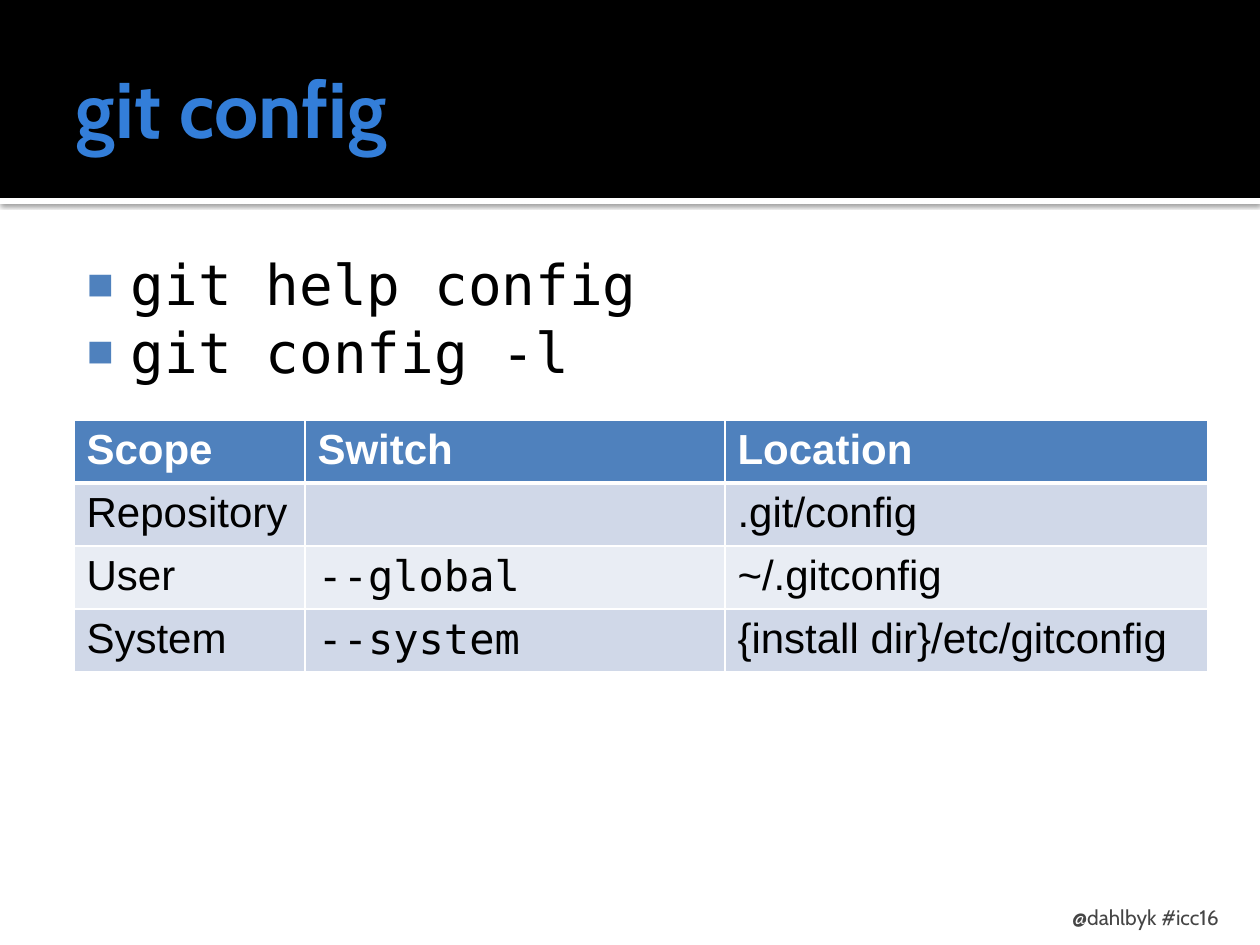
"""Build the git config slide: title band, command list, scope table and footer."""
from typing import NamedTuple

from lxml.etree import SubElement as Sub
from pptx import Presentation
from pptx.dml.color import RGBColor as RGB
from pptx.enum.shapes import MSO_SHAPE as Kind
from pptx.enum.text import MSO_ANCHOR as Anchor, PP_ALIGN as Align
from pptx.oxml.ns import qn
from pptx.util import Pt

SCALE = 914400 / 126
WHITE = RGB(0xFF, 0xFF, 0xFF)
BLACK = RGB(0, 0, 0)
BLUE = RGB(0x4F, 0x81, 0xBD)
TITLE = RGB(0x33, 0x7E, 0xD9)
GRAY = RGB(0x45, 0x45, 0x45)
BANDS = RGB(0xD0, 0xD8, 0xE8), RGB(0xE9, 0xED, 0xF4)
SANS, HEAD, MONO = "Arial", "Cabin", "DejaVu Sans Mono"


class Box(NamedTuple):
    left: int
    top: int
    wide: int
    high: int


class Row(NamedTuple):
    scope: str
    switch: str
    place: str


COLS = 231, 420, 483
ROW_H = 63
ROWS = [
    Row("Scope", "Switch", "Location"),
    Row("Repository", "", ".git/config"),
    Row("User", "--global", "~/.gitconfig"),
    Row("System", "--system", "{install dir}/etc/gitconfig"),
]
ITEMS = [("git help config", 0.9), ("git config -l", 1.0)]


def px(num: float) -> int:
    return round(num * SCALE)


def place(box: Box) -> list[int]:
    return [px(num) for num in box]


def write(para, text: str, *, size: int, font: str, color: RGB,
          bold: bool = False, align=Align.LEFT) -> None:
    para.alignment = align
    run = para.add_run()
    run.text = text
    face = run.font
    face.size, face.name, face.bold = Pt(size), font, bold
    face.color.rgb = color


def frame(slide, box: Box, pad: tuple, anchor=Anchor.TOP):
    body = slide.shapes.add_textbox(*place(box)).text_frame
    body.word_wrap = True
    body.vertical_anchor = anchor
    (body.margin_left, body.margin_top,
     body.margin_right, body.margin_bottom) = map(px, pad)
    return body


def band(slide, box: Box, color: RGB):
    shape = slide.shapes.add_shape(Kind.RECTANGLE, *place(box))
    shape.shadow.inherit = False
    shape.fill.solid()
    shape.fill.fore_color.rgb = color
    shape.line.fill.background()
    return shape


def shade(shape) -> None:
    glow = shape._element.spPr.find(qn("a:effectLst"))
    cast = Sub(glow, qn("a:outerShdw"), blurRad=str(Pt(2.5)),
               dist=str(Pt(0.8)), dir="5400000", algn="tl", rotWithShape="0")
    tint = Sub(cast, qn("a:srgbClr"), val=str(BLACK))
    Sub(tint, qn("a:alpha"), val="60000")


def bullet(para) -> None:
    props = para._p.get_or_add_pPr()
    props.set("marL", str(px(60)))
    props.set("indent", str(px(-44)))
    Sub(Sub(props, qn("a:buClr")), qn("a:srgbClr"), val=str(BLUE))
    Sub(props, qn("a:buSzPct"), val="80000")
    Sub(props, qn("a:buFont"), typeface=SANS)
    Sub(props, qn("a:buChar"), char="■")


def border(cell, **sides: int) -> None:
    props = cell._tc.get_or_add_tcPr()
    for side in "LRTB":
        edge = Sub(props, qn(f"a:ln{side}"), w=str(Pt(sides.get(side, 1))))
        Sub(Sub(edge, qn("a:solidFill")), qn("a:srgbClr"), val=str(WHITE))


def grid(slide, left: int, top: int) -> None:
    box = Box(left, top, sum(COLS), ROW_H * len(ROWS))
    table = slide.shapes.add_table(len(ROWS), len(COLS), *place(box)).table
    for col, wide in zip(table.columns, COLS):
        col.width = px(wide)
    for i, row in enumerate(ROWS):
        table.rows[i].height = px(ROW_H)
        head = i == 0
        for j, text in enumerate(row):
            cell = table.cell(i, j)
            border(cell, B=3 if head else 1, T=3 if i == 1 else 1)
            cell.fill.solid()
            cell.fill.fore_color.rgb = BLUE if head else BANDS[(i - 1) % 2]
            write(cell.text_frame.paragraphs[0], text, size=24, bold=head,
                  font=MONO if j == 1 and not head else SANS,
                  color=WHITE if head else BLACK)


def main() -> None:
    deck = Presentation()
    deck.slide_width, deck.slide_height = px(1260), px(945)
    slide = deck.slides.add_slide(deck.slide_layouts[6])
    shade(band(slide, Box(0, 198, 1260, 6), WHITE))
    band(slide, Box(0, 0, 1260, 198), BLACK)

    title = frame(slide, Box(63, 21, 1134, 173), (13, 6, 6, 6), Anchor.MIDDLE)
    write(title.paragraphs[0], "git config", size=45, font=HEAD,
          color=TITLE, bold=True)

    body = frame(slide, Box(63, 244, 1134, 638), (8, 13, 13, 6))
    for i, (text, pitch) in enumerate(ITEMS):
        para = body.add_paragraph() if i else body.paragraphs[0]
        para.line_spacing = pitch
        bullet(para)
        write(para, text, size=32, font=MONO, color=BLACK)

    grid(slide, 74, 420)
    foot = frame(slide, Box(903, 892, 329, 38), (13, 6, 13, 0), Anchor.BOTTOM)
    write(foot.paragraphs[0], "@dahlbyk #icc16", size=12, font=HEAD,
          color=GRAY, align=Align.RIGHT)
    deck.save("out.pptx")


if __name__ == "__main__":
    main()
